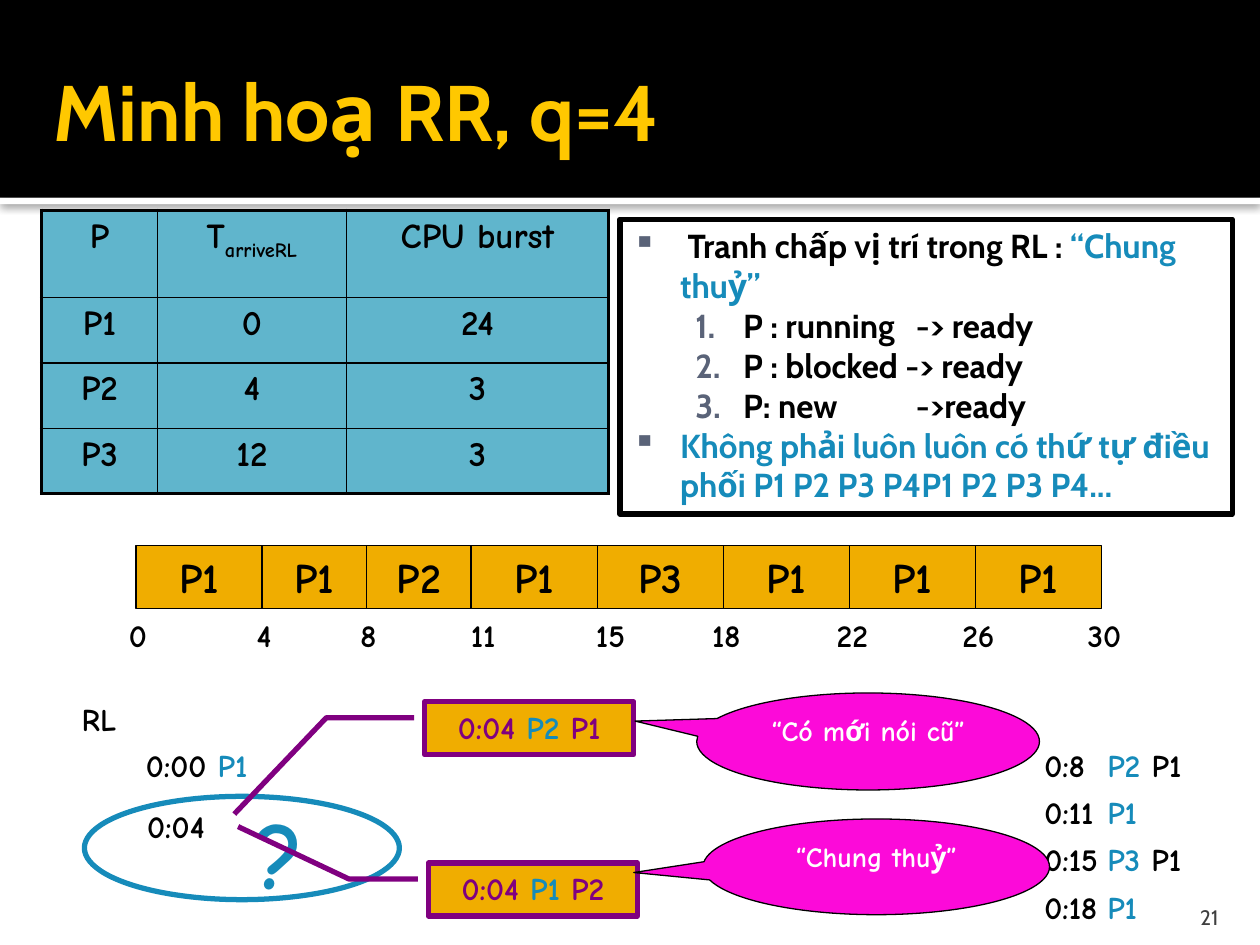
from lxml import etree
from pptx import Presentation
from pptx import util as u
from pptx.dml.color import RGBColor
from pptx.enum import shapes, text
from pptx.oxml import ns

HUES = {
    "black": "000000", "white": "FFFFFF", "gold": "FFC800", "grey": "3F3F3F",
    "sky": "60B5CC", "amber": "F0AD00", "blue": "168BBA", "plum": "800080",
    "pink": "FC0AD9", "slate": "5A6378",
}
HAND, SANS = "Comic Neue", "Cabin"
KIND = shapes.MSO_SHAPE
MID, TOP, BASE = text.MSO_ANCHOR.MIDDLE, text.MSO_ANCHOR.TOP, text.MSO_ANCHOR.BOTTOM
LEFT, MIDST, RIGHT = text.PP_ALIGN.LEFT, text.PP_ALIGN.CENTER, text.PP_ALIGN.RIGHT


def node(parent, tag, **attrs):
    item = etree.SubElement(parent, ns.qn("a:" + tag))
    for key, value in attrs.items():
        item.set(key, str(value))
    return item


def tint(parent, hue):
    return node(parent, "srgbClr", val=HUES[hue])


class Deck:
    """Holds the text style and the slide being drawn."""

    def __init__(self):
        self.show = Presentation()
        self.show.slide_width, self.show.slide_height = u.Inches(10), u.Inches(7.5)
        self.slide = self.show.slides.add_slide(self.show.slide_layouts[6])

    def words(self, par, parts, size, hue="black", font=HAND, bold=True, align=LEFT):
        """Fill a paragraph from a string or a list of (text, hue) pairs."""
        if isinstance(parts, str):
            parts = [(parts, hue)]
        par.alignment = align
        for piece, shade in parts:
            run = par.add_run()
            run.text = piece
            run.font.size, run.font.name, run.font.bold = u.Pt(size), font, bold
            run.font.color.rgb = RGBColor.from_string(HUES[shade])

    def label(self, box, parts, size, wrap=False, anchor=TOP, **style):
        item = self.slide.shapes.add_textbox(*map(u.Inches, box))
        frame = item.text_frame
        frame.word_wrap, frame.vertical_anchor = wrap, anchor
        self.words(frame.paragraphs[0], parts, size, **style)
        return item

    def shape(self, kind, box, fill=None, line=None, width=0.75, adjust=()):
        item = self.slide.shapes.add_shape(kind, *map(u.Inches, box))
        item.shadow.inherit = False
        if fill:
            item.fill.solid()
            item.fill.fore_color.rgb = RGBColor.from_string(HUES[fill])
        else:
            item.fill.background()
        if line:
            item.line.color.rgb = RGBColor.from_string(HUES[line])
            item.line.width = u.Pt(width)
        else:
            item.line.fill.background()
        for spot, value in enumerate(adjust):
            item.adjustments[spot] = value
        return item

    def block(self, kind, box, parts, size, hue="black", anchor=TOP, wrap=True, **look):
        """Draw a shape with one centred line of text."""
        frame = self.shape(kind, box, **look).text_frame
        frame.word_wrap, frame.vertical_anchor = wrap, anchor
        self.words(frame.paragraphs[0], parts, size, hue, align=MIDST)

    def shade(self, item):
        glow = item.element.spPr.find(ns.qn("a:effectLst"))
        cast = node(glow, "outerShdw", blurRad=u.Pt(5), dist=u.Pt(0.8), dir=5400000)
        node(tint(cast, "black"), "alpha", val=60000)

    def bullet(self, par, left, mark=None):
        """Hang a bullet; without a mark the paragraph is numbered."""
        props = par._p.get_or_add_pPr()
        props.set("marL", str(u.Inches(left)))
        props.set("indent", str(-u.Inches(0.38)))
        tint(node(props, "buClr"), "slate")
        if mark:
            node(props, "buChar", char=mark)
        else:
            node(props, "buAutoNum", type="arabicPeriod")

    def tab(self, par, place):
        stops = node(par._p.get_or_add_pPr(), "tabLst")
        node(stops, "tab", pos=u.Inches(place), algn="l")

    def grid(self, box, rows, wide, high):
        frame = self.slide.shapes.add_table(len(rows), len(wide), *map(u.Inches, box))
        table = frame.table
        table.first_row = table.horz_banding = False
        for col, size in zip(table.columns, wide):
            col.width = u.Inches(size)
        for row, size in zip(table.rows, high):
            row.height = u.Inches(size)
        for r, row in enumerate(rows):
            for c, parts in enumerate(row):
                cell = table.cell(r, c)
                par = cell.text_frame.paragraphs[0]
                self.words(par, parts, 20, align=MIDST)
                par.space_before = u.Pt(4)
                outer = {"L": c == 0, "R": c == len(row) - 1,
                         "T": r == 0, "B": r == len(rows) - 1}
                for side, edge in outer.items():
                    rule = node(cell._tc.get_or_add_tcPr(), "ln" + side,
                                w=u.Pt(2.25 if edge else 1))
                    tint(node(rule, "solidFill"), "black")
                cell.fill.solid()
                cell.fill.fore_color.rgb = RGBColor.from_string(HUES["sky"])
        return table


def header(deck):
    deck.shade(deck.shape(KIND.RECTANGLE, (0, 1.57, 10, 0.05), "white"))
    deck.shape(KIND.RECTANGLE, (0, 0, 10, 1.57), "black")
    title = deck.label((0.33, 0.25, 8.17, 1.25), "Minh hoạ RR, q=4", 45,
                       wrap=True, anchor=MID, hue="gold", font=SANS)
    title.text_frame.margin_right = u.Inches(0.05)
    page = deck.label((8.97, 7.08, 0.8, 0.3), "21", 12, wrap=True, anchor=BASE,
                      hue="grey", font=SANS, bold=False, align=RIGHT)
    page.text_frame.margin_bottom = 0


def burst(deck):
    rows = [("P", [("T", "black"), ("arriveRL", "black")], "CPU burst"),
            ("P1", "0", "24"), ("P2", "4", "3"), ("P3", "12", "3")]
    table = deck.grid((0.33, 1.67, 4.5, 2.26), rows,
                      (0.92, 1.5, 2.08), (0.69, 0.52, 0.52, 0.52))
    low = table.cell(0, 1).text_frame.paragraphs[0].runs[1]
    low.font._element.set("baseline", "-25000")


def gantt(deck):
    left = 1.08
    jobs = ["P1", "P1", "P2", "P1", "P3", "P1", "P1", "P1"]
    for spot, job in enumerate(jobs):
        wide = 0.83 if spot in (1, 2) else 1
        deck.block(KIND.RECTANGLE, (left, 4.33, wide, 0.5), job, 24, anchor=MID,
                   wrap=False, fill="amber", line="black")
        left += wide
    ticks = {"0": 0.92, "4": 1.92, "8": 2.75, "11": 3.58, "15": 4.59,
             "18": 5.51, "22": 6.51, "26": 7.51, "30": 8.51}
    for tick, place in ticks.items():
        wide = 0.35 if len(tick) == 1 else 0.51
        deck.label((place, 4.84, wide, 0.4), tick, 18, align=MIDST)


def rules(deck):
    frame = deck.shape(KIND.RECTANGLE, (4.92, 1.74, 4.86, 2.34),
                       line="black", width=3).text_frame
    frame.word_wrap, frame.vertical_anchor = True, TOP
    lines = [
        (0, [(" Tranh chấp vị trí trong RL : ", "black"), ("“Chung thuỷ”", "blue")]),
        (1, "P : running\t-> ready"),
        (1, "P : blocked -> ready"),
        (1, "P: new\t->ready"),
        (0, [("Không phải luôn luôn có thứ tự điều phối "
              "P1 P2 P3 P4P1 P2 P3 P4...", "blue")]),
    ]
    for spot, (level, parts) in enumerate(lines):
        par = frame.add_paragraph() if spot else frame.paragraphs[0]
        par.level = level
        deck.words(par, parts, 19, font=SANS)
        deck.bullet(par, 0.88 if level else 0.38, None if level else "▪")
        if level:
            deck.tab(par, 2.25)


def queue(deck):
    deck.label((0.55, 5.51, 0.5, 0.4), "RL", 18)
    deck.label((1.06, 5.87, 1.27, 0.4), [("0:00 ", "black"), ("P1", "blue")], 18)
    deck.label((1.07, 6.36, 0.88, 0.4), "0:04", 18)
    deck.shape(KIND.OVAL, (0.67, 6.32, 2.5, 0.82), line="blue", width=3)
    deck.label((1.94, 6.26, 0.78, 1), "?", 54, wrap=True, hue="blue")
    steps = [("0:8", "P2", " P1"), ("0:11", "P1", ""),
             ("0:15", "P3", " P1"), ("0:18", "P1", "")]
    for spot, (time, first, rest) in enumerate(steps):
        parts = [(time + "\t", "black"), (first, "blue")]
        if rest:
            parts.append((rest, "black"))
        item = deck.label((8.19, 5.87 + 0.375 * spot, 1.54 if rest else 1.27, 0.4),
                          parts, 18)
        deck.tab(item.text_frame.paragraphs[0], 0.5)


def choice(deck):
    notes = [((3.37, 5.57), "P2", " P1", (-0.47, 2.12)),
             ((3.4, 6.85), "P1", " P2", (-0.38, -0.69))]
    for place, first, last, (bend, tip) in notes:
        deck.block(KIND.LINE_CALLOUT_2, (*place, 1.66, 0.42),
                   [("0:04 ", "plum"), (first, "blue"), (last, "plum")], 18,
                   fill="amber", line="plum", width=3,
                   adjust=(0.3, -0.05, 0.3, bend, tip, -0.91))
    quotes = [((5.53, 5.5, 2.72, 0.77), "“Có mới nói cũ”", (-0.68, -0.21)),
              ((5.58, 6.5, 2.75, 0.76), "“Chung thuỷ”", (-0.7, 0.06))]
    for box, quote, tail in quotes:
        deck.block(KIND.OVAL_CALLOUT, box, quote, 16, "white",
                   fill="pink", line="black", adjust=tail)


def main():
    deck = Deck()
    for part in (header, burst, gantt, rules, queue, choice):
        part(deck)
    deck.show.save("out.pptx")


if __name__ == "__main__":
    main()
